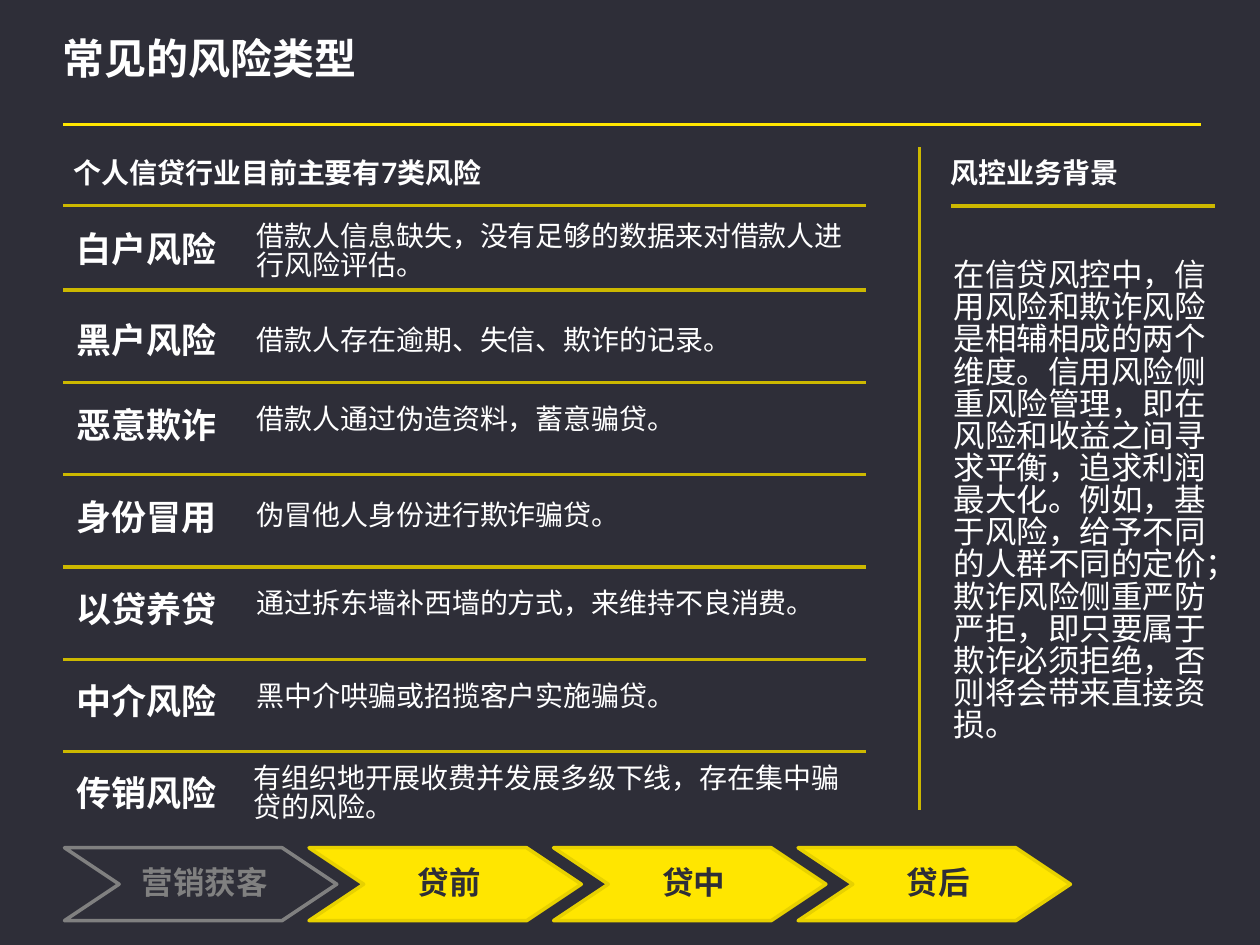
import dataclasses
import lxml.etree
import pptx
import pptx.dml.color
import pptx.enum.shapes
import pptx.enum.text
import pptx.oxml.ns
import pptx.util


@dataclasses.dataclass(frozen=True)
class Theme:
    """Colours, type sizes and line widths of the slide."""
    font: str = "Lato"
    dark: str = "2E2E38"
    white: str = "FFFFFF"
    yellow: str = "FFE600"
    edge: str = "E7D100"
    gold: str = "CCB800"
    grey: str = "808080"
    title: int = 24
    label: int = 20
    body: int = 18
    small: int = 16
    rule: float = 2
    title_rule: float = 1.5


@dataclasses.dataclass(frozen=True)
class Box:
    """A region in centimetres."""
    left: float
    top: float
    width: float
    height: float

    def inside(self, left, top, width, height):
        """Return a box placed relative to this one."""
        return Box(self.left + left, self.top + top, width, height)

    def lengths(self):
        """Return left, top, width and height as lengths."""
        return [pptx.util.Cm(value) for value in dataclasses.astuple(self)]


THEME = Theme()
PLAIN_INSETS = (0, 0, 0, 0)
LABEL_INSETS = (0.25, 0.13, 0.25, 0.13)
ROW_STEP = 1.86
RISKS = [
    ("白户风险", 0.31, "借款人信息缺失，没有足够的数据来对借款人进行风险评估。", 3.91, 0.38),
    ("黑户风险", 0.45, "借款人存在逾期、失信、欺诈的记录。", 3.91, 0.75),
    ("恶意欺诈", 0.29, "借款人通过伪造资料，蓄意骗贷。", 3.91, 0.49),
    ("身份冒用", 0.29, "伪冒他人身份进行欺诈骗贷。", 3.91, 0.56),
    ("以贷养贷", 0.28, "通过拆东墙补西墙的方式，来维持不良消费。", 3.91, 0.48),
    ("中介风险", 0.27, "黑中介哄骗或招揽客户实施骗贷。", 3.91, 0.50),
    ("传销风险", 0.27, "有组织地开展收费并发展多级下线，存在集中骗贷的风险。", 3.84, 0.29),
]
BACKGROUND = (
    "在信贷风控中，信用风险和欺诈风险是相辅相成的两个维度。信用风险侧重风险管理，"
    "即在风险和收益之间寻求平衡，追求利润最大化。例如，基于风险，给予不同的人群不同的定价；"
    "欺诈风险侧重严防严拒，即只要属于欺诈必须拒绝，否则将会带来直接资损。"
)
STAGES = ["营销获客", "贷前", "贷中", "贷后"]


def rgb(value):
    """Turn a hex string into a colour."""
    return pptx.dml.color.RGBColor.from_string(value)


def apply_format(target, values):
    """Set each named attribute on the target."""
    for name, value in values.items():
        setattr(target, name, value)


def write_text(shape, text, size, color=THEME.white, bold=False,
               insets=PLAIN_INSETS, frame_format=None, paragraph_format=None):
    """Put one formatted paragraph into a shape."""
    frame = shape.text_frame
    sides = ("margin_left", "margin_top", "margin_right", "margin_bottom")
    apply_format(frame, {side: pptx.util.Cm(inset) for side, inset in zip(sides, insets)})
    apply_format(frame, {"word_wrap": True, **(frame_format or {})})
    paragraph = frame.paragraphs[0]
    apply_format(paragraph, paragraph_format or {})
    run = paragraph.add_run()
    run.text = text
    apply_format(run.font, {"name": THEME.font, "size": pptx.util.Pt(size), "bold": bold})
    run.font.color.rgb = rgb(color)


def add_text(slide, box, text, size, **options):
    """Add a text box with one paragraph."""
    write_text(slide.shapes.add_textbox(*box.lengths()), text, size, **options)


def add_heading(slide, box, text, size):
    """Add a bold label with the usual insets."""
    add_text(slide, box, text, size, bold=True, insets=LABEL_INSETS)


def add_body(slide, box, text, size, bold=False):
    """Add tightly spaced text without insets."""
    add_text(slide, box, text, size, bold=bold, paragraph_format={"line_spacing": 0.85})


def add_rule(slide, box, color=THEME.gold, width=THEME.rule):
    """Draw a straight rule across a box without thickness."""
    left, top, across, down = box.lengths()
    line = slide.shapes.add_connector(
        pptx.enum.shapes.MSO_CONNECTOR.STRAIGHT, left, top, left + across, top + down)
    line.line.color.rgb = rgb(color)
    line.line.width = pptx.util.Pt(width)
    lxml.etree.SubElement(line._element.spPr, pptx.oxml.ns.qn("a:effectLst"))


def add_title(slide, box):
    """Add the title and the rule below it."""
    add_body(slide, box.inside(0, 0, box.width, 1.65), "常见的风险类型", THEME.title, bold=True)
    add_rule(slide, box.inside(0, box.height, 22.94, 0), THEME.yellow, THEME.title_rule)


def add_risk_list(slide, box):
    """Add the heading and the ruled rows of risk types."""
    add_heading(slide, box.inside(-0.03, 0, 13.16, 1.17), "个人信贷行业目前主要有7类风险", THEME.small)
    for index, (name, name_top, detail, detail_left, detail_top) in enumerate(RISKS):
        row_top = 2.85 + (index - 1) * ROW_STEP if index else 1.14
        row = box.inside(0, row_top, box.width, ROW_STEP)
        add_rule(slide, row.inside(0, 0, row.width, 0))
        add_heading(slide, row.inside(0.03, name_top, 3.53, 1.17), name, THEME.label)
        add_body(slide, row.inside(detail_left, detail_top, 12.22, 1.17), detail, THEME.small)


def add_sidebar(slide, box):
    """Add the business background column with its dividing rule."""
    add_rule(slide, box.inside(0, 0, 0, box.height))
    add_heading(slide, box.inside(0.38, 0.03, 5.11, 1.17), "风控业务背景", THEME.small)
    add_rule(slide, box.inside(0.64, 1.18, 5.31, 0))
    add_body(slide, box.inside(0.69, 2.29, 5.31, 9.88), BACKGROUND, THEME.body)


def add_stages(slide, box):
    """Add the row of process chevrons, the first one inactive."""
    group = slide.shapes.add_group_shape()
    for index, name in enumerate(STAGES):
        active = index > 0
        chevron = group.shapes.add_shape(
            pptx.enum.shapes.MSO_SHAPE.CHEVRON,
            *box.inside(index * 4.93, 0, 5.49, box.height).lengths())
        chevron.adjustments[0] = 0.75
        chevron.shadow.inherit = False
        if active:
            chevron.fill.solid()
            chevron.fill.fore_color.rgb = rgb(THEME.yellow)
        else:
            chevron.fill.background()
        chevron.line.color.rgb = rgb(THEME.edge if active else THEME.grey)
        chevron.line.width = pptx.util.Pt(THEME.rule)
        write_text(
            chevron, name, THEME.body, THEME.dark if active else THEME.grey, bold=True,
            insets=(0.38, 0.08, 0.22, 0.08),
            frame_format={"vertical_anchor": pptx.enum.text.MSO_ANCHOR.MIDDLE},
            paragraph_format={"alignment": pptx.enum.text.PP_ALIGN.CENTER, "line_spacing": 0.9})


def main():
    """Build and save the slide."""
    presentation = pptx.Presentation()
    apply_format(presentation, {"slide_width": pptx.util.Cm(25.4), "slide_height": pptx.util.Cm(19.05)})
    slide = presentation.slides.add_slide(presentation.slide_layouts[6])
    slide.background.fill.solid()
    slide.background.fill.fore_color.rgb = rgb(THEME.dark)
    add_title(slide, Box(1.27, 0.81, 22.86, 1.7))
    add_risk_list(slide, Box(1.27, 3, 16.18, 13.6))
    add_sidebar(slide, Box(18.54, 2.97, 6, 13.36))
    add_stages(slide, Box(1.3, 17.09, 20.28, 1.47))
    presentation.save("out.pptx")


if __name__ == "__main__":
    main()
